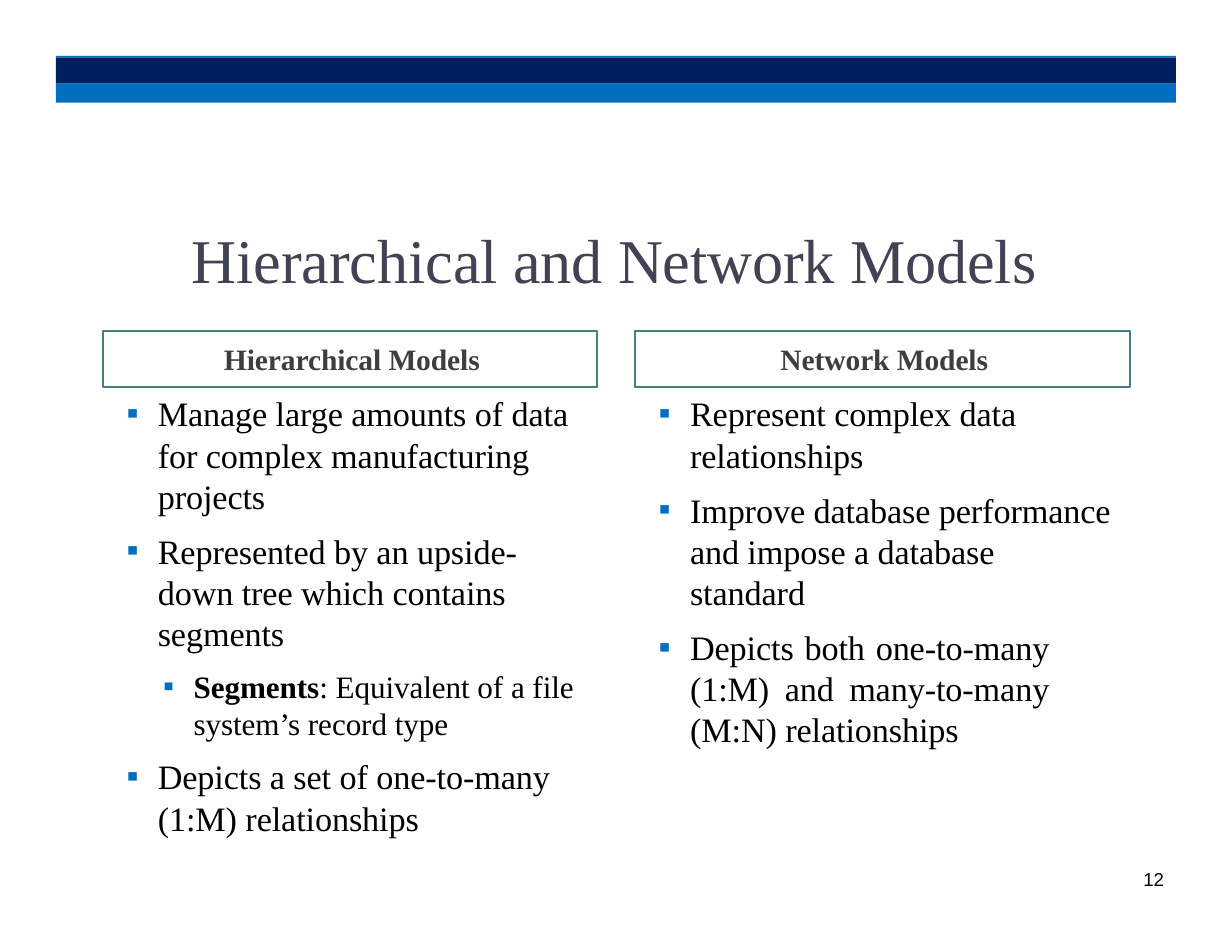
from lxml.etree import SubElement
from pptx import Presentation
from pptx.dml.color import RGBColor
from pptx.enum.shapes import MSO_SHAPE
from pptx.enum.text import PP_ALIGN
from pptx.oxml.ns import qn
from pptx.util import Cm, Pt

COLORS = {
    "navy": "001F5F", "blue": "006FBF", "bullet": "006FC0", "teal": "427F85",
    "title": "414355", "heading": "3E3E3E", "body": "000000",
}
SERIF = "Times New Roman"
TITLE = "Hierarchical and Network Models"
PAGE_NUMBER = "12"

# Top, height and colour of each band, in cm
BANDS = [(1.27, 0.03, "blue"), (1.3, 0.6, "navy"), (1.9, 0.43, "blue")]

# Each item: level, space before in points, runs of (text, bold)
COLUMNS = [
    {
        "heading": "Hierarchical Models", "indent": 2.24, "size": (10.24, 11.66),
        "items": [
            (0, 10.6, [("Manage large amounts of data for complex manufacturing projects", False)]),
            (0, 9, [("Represented by an upside-down tree which contains segments", False)]),
            (1, 9.1, [("Segments", True),
                      (": Equivalent of a file system’s record type", False)]),
            (0, 8.9, [("Depicts a set of one-to-many (1:M) relationships", False)]),
        ],
    },
    {
        "heading": "Network Models", "indent": 2.79, "size": (10.39, 9.65),
        "items": [
            (0, 10.6, [("Represent complex data relationships", False)]),
            (0, 9, [("Improve database performance and impose a database standard", False)]),
            (0, 9, [("Depicts both one-to-many (1:M) and many-to-many (M:N) relationships", False)]),
        ],
    },
]
COLUMN_STEP = 12.07
# Left margin and hanging indent in cm, text size in points
LEVELS = [(0.74, 0.71, 22), (1.55, 0.69, 20)]


def color(name):
    return RGBColor.from_string(COLORS[name])


def add_rectangle(page, left, top, width, height):
    shape = page.shapes.add_shape(
        MSO_SHAPE.RECTANGLE, Cm(left), Cm(top), Cm(width), Cm(height))
    shape.shadow.inherit = False
    return shape


def add_text_frame(page, left, top, width, height, inset_top=0):
    box = page.shapes.add_textbox(Cm(left), Cm(top), Cm(width), Cm(height))
    frame = box.text_frame
    frame.word_wrap = True
    frame.margin_left = frame.margin_right = frame.margin_bottom = 0
    frame.margin_top = Cm(inset_top)
    return frame


def add_span(para, text, size, color_name, font=SERIF, bold=False):
    span = para.add_run()
    span.text = text
    span.font.name = font
    span.font.size = Pt(size)
    span.font.bold = bold
    span.font.color.rgb = color(color_name)
    span.font._element.set("spc", "-5")


def set_indent(para, left, hanging=0):
    properties = para._p.get_or_add_pPr()
    properties.set("marL", str(Cm(left)))
    properties.set("indent", str(-Cm(hanging)))
    return properties


def add_item(frame, level, space_before, runs):
    left, hanging, size = LEVELS[level]
    para = frame.add_paragraph()
    para.level = level
    para.space_before = Pt(space_before)
    properties = set_indent(para, left, hanging)
    bullet_color = SubElement(properties, qn("a:buClr"))
    SubElement(bullet_color, qn("a:srgbClr"), val=COLORS["bullet"])
    SubElement(properties, qn("a:buFont"), typeface=SERIF)
    SubElement(properties, qn("a:buChar"), char="▪")
    for text, bold in runs:
        add_span(para, text, size, "body", bold=bold)
    return para


def add_column(page, index, column):
    shift = index * COLUMN_STEP
    border = add_rectangle(page, 2.33 + shift, 7.51, 11.22, 1.27)
    border.fill.background()
    border.line.color.rgb = color("teal")
    border.line.width = Pt(1.2)

    frame = add_text_frame(page, 2.84 + shift, 7.37, *column["size"], inset_top=0.36)
    heading = frame.paragraphs[0]
    set_indent(heading, column["indent"])
    add_span(heading, column["heading"], 19, "heading", bold=True)
    return [add_item(frame, *item) for item in column["items"]]


def main():
    deck = Presentation()
    deck.slide_width, deck.slide_height = Cm(27.94), Cm(21.59)
    page = deck.slides.add_slide(deck.slide_layouts[6])

    for top, height, name in BANDS:
        band = add_rectangle(page, 1.27, top, 25.4, height)
        band.fill.solid()
        band.fill.fore_color.rgb = color(name)
        band.line.fill.background()

    title = add_text_frame(page, 4.32, 5, 19.33, 1.75, inset_top=0.03).paragraphs[0]
    set_indent(title, 0.03)
    add_span(title, TITLE, 40, "title")

    for index, column in enumerate(COLUMNS):
        paras = add_column(page, index, column)
    last = paras[-1]
    last.alignment = PP_ALIGN.JUSTIFY
    last._p.get_or_add_pPr().set("marR", str(Cm(1.5)))

    number = add_text_frame(page, 25.83, 19.74, 0.69, 0.48).paragraphs[0]
    set_indent(number, 0.1)
    number.line_spacing = Pt(12.7)
    add_span(number, PAGE_NUMBER, 12, "body", font="Arial")

    deck.save("out.pptx")


if __name__ == "__main__":
    main()
